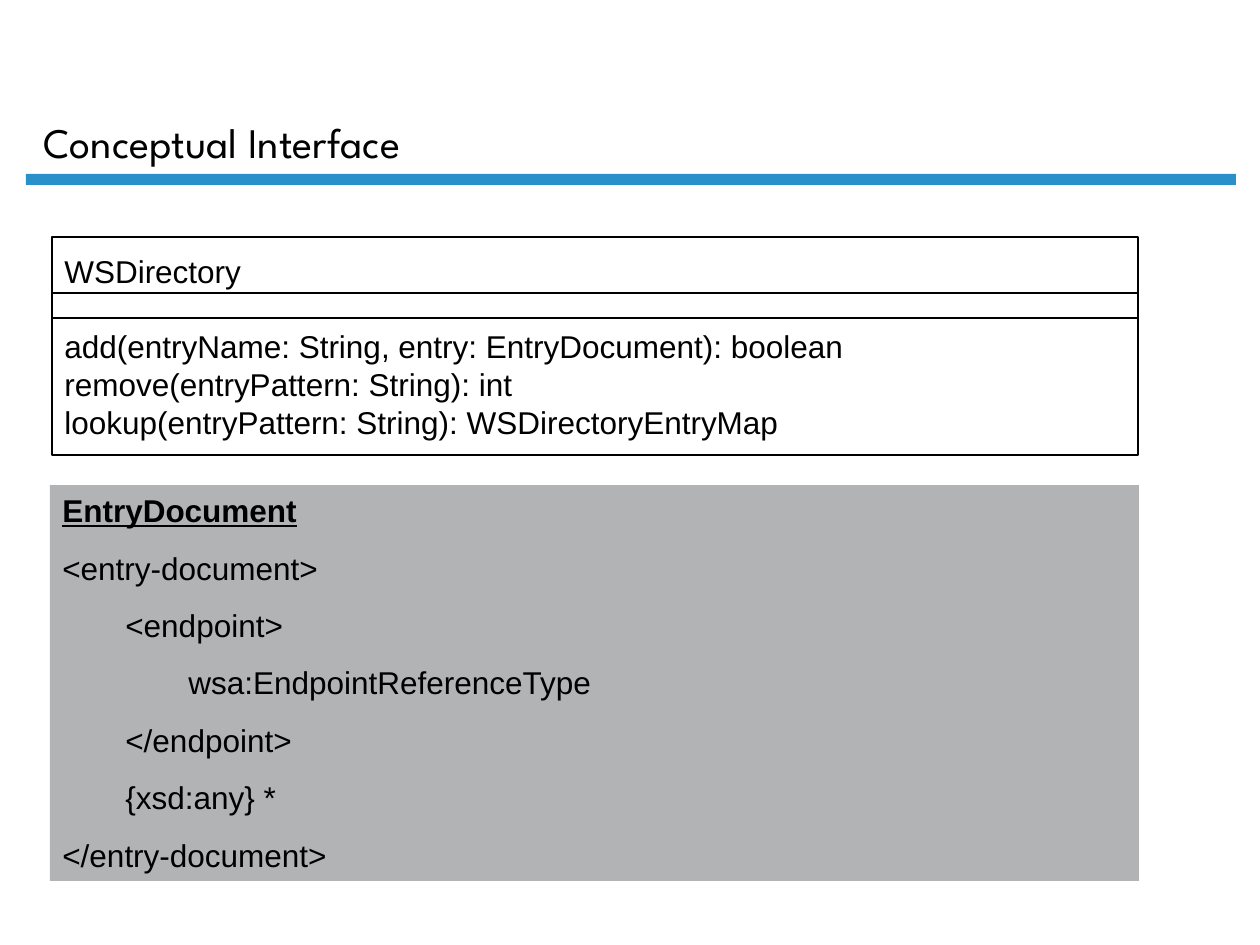
"""Build the Conceptual Interface slide."""
import pptx
import pptx.dml.color
import pptx.enum.shapes
import pptx.enum.text
import pptx.util
from lxml import etree

BLACK = pptx.dml.color.RGBColor(0x00, 0x00, 0x00)
BLUE = pptx.dml.color.RGBColor(0x29, 0x90, 0xCA)
GRAY = pptx.dml.color.RGBColor(0xB2, 0xB3, 0xB5)
ANCHOR = pptx.enum.text.MSO_ANCHOR
PX = 914400 // 126

TITLE = "Conceptual Interface"
CLASS_LINES = [
    "WSDirectory",
    "add(entryName: String, entry: EntryDocument): boolean",
    "remove(entryPattern: String): int",
    "lookup(entryPattern: String): WSDirectoryEntryMap",
]
DOCUMENT_LINES = [
    "EntryDocument",
    "<entry-document>",
    "\t<endpoint>",
    "\t\twsa:EndpointReferenceType",
    "\t</endpoint>",
    "\t{xsd:any} *",
    "</entry-document>",
]
DIVIDERS = [(51, 293, 1138), (52, 318, 1139)]


def emu(*lengths):
    return [length * PX for length in lengths]


def add_box(s, box, fill=None, line=None):
    sp = s.shapes.add_shape(pptx.enum.shapes.MSO_SHAPE.RECTANGLE, *emu(*box))
    sp.shadow.inherit = False
    if fill is None:
        sp.fill.background()
    else:
        sp.fill.solid()
        sp.fill.fore_color.rgb = fill
    if line is None:
        sp.line.fill.background()
    else:
        sp.line.color.rgb = line
        sp.line.width = pptx.util.Pt(0.75)
    return sp


def add_divider(s, left, y, right):
    line = s.shapes.add_connector(
        pptx.enum.shapes.MSO_CONNECTOR.STRAIGHT, *emu(left, y, right, y))
    line.line.color.rgb = BLACK
    line.line.width = pptx.util.Pt(0.75)
    etree.SubElement(line._element.spPr, pptx.oxml.ns.qn("a:effectLst"))


def write(sp, lines, anchor, font="Arial", size=18, wrap=True):
    tf = sp.text_frame
    tf.text = "\n".join(lines)
    tf.word_wrap = wrap
    tf.vertical_anchor = anchor
    for p in tf.paragraphs:
        p.alignment = pptx.enum.text.PP_ALIGN.LEFT
        for r in p.runs:
            r.font.name = font
            r.font.size = pptx.util.Pt(size)
            r.font.color.rgb = BLACK
    return tf.paragraphs


def main():
    prs = pptx.Presentation()
    prs.slide_width, prs.slide_height = pptx.util.Inches(10), pptx.util.Inches(7.5)
    s = prs.slides.add_slide(prs.slide_layouts[6])

    add_box(s, (26, 174, 1210, 11), fill=BLUE)
    title = s.shapes.add_textbox(*emu(31, 15, 1079, 158))
    write(title, [TITLE], ANCHOR.BOTTOM, "League Spartan", 24)

    class_box = add_box(s, (52, 237, 1086, 218), line=BLACK)
    paragraphs = write(class_box, CLASS_LINES, ANCHOR.MIDDLE, wrap=False)
    paragraphs[1].space_before = pptx.util.Pt(21.6)
    for divider in DIVIDERS:
        add_divider(s, *divider)

    document_box = add_box(s, (50, 485, 1089, 396), fill=GRAY)
    heading, *body = write(document_box, DOCUMENT_LINES, ANCHOR.TOP)
    heading.runs[0].font.bold = True
    heading.runs[0].font.underline = True
    for p in body:
        p.space_before = pptx.util.Pt(11.2)

    prs.save("out.pptx")


if __name__ == "__main__":
    main()
